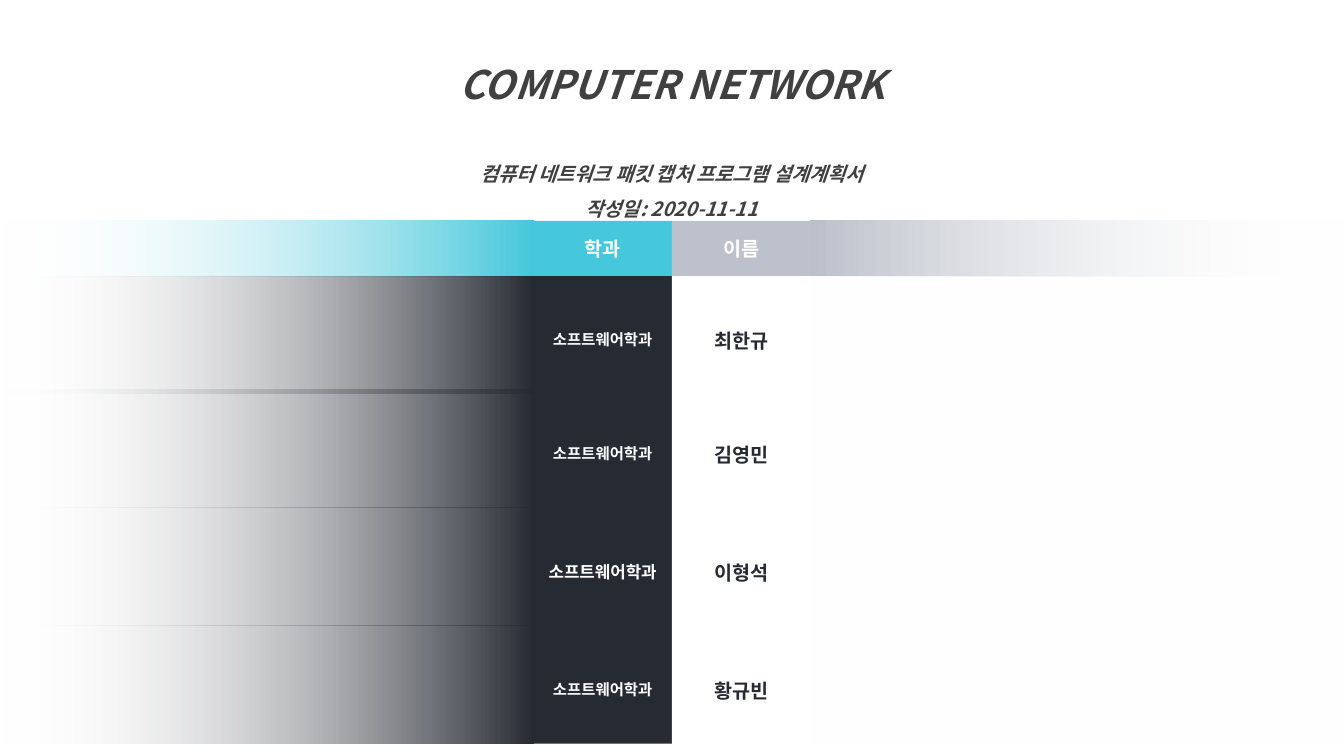
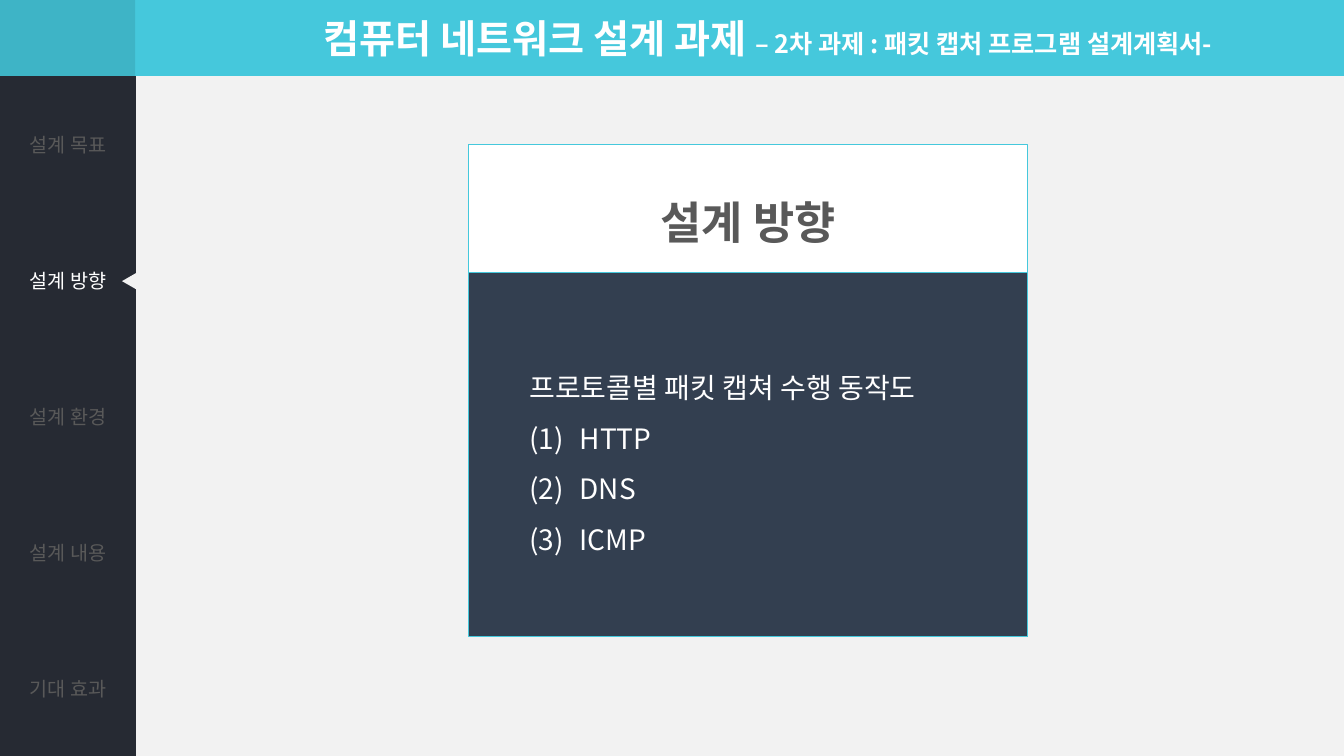
"""Build the cover and the design direction slide of a computer network assignment."""
import pptx
import pptx.dml.color
import pptx.enum.shapes
import pptx.enum.text
import pptx.oxml.ns
import pptx.util
from lxml import etree

Pt = pptx.util.Pt
SHAPES = pptx.enum.shapes.MSO_SHAPE
ALIGN = pptx.enum.text.PP_ALIGN
MIDDLE = pptx.enum.text.MSO_ANCHOR.MIDDLE
qn = pptx.oxml.ns.qn
colour = pptx.dml.color.RGBColor.from_string

FONT = "Noto Sans CJK KR"
CYAN, DARK, SILVER, WHITE = "45C8DC", "262A33", "BDC1CB", "FFFFFF"
PALE, GREY, CHARCOAL, NAVY, TEAL = "F2F2F2", "595959", "404040", "333F50", "3EB4C6"


def add_box(slide, left, top, width, height, fill, line=None, kind=SHAPES.RECTANGLE):
    shape = slide.shapes.add_shape(kind, Pt(left), Pt(top), Pt(width), Pt(height))
    shape.shadow.inherit = False
    shape.fill.solid()
    shape.fill.fore_color.rgb = colour(fill)
    if line:
        shape.line.color.rgb = colour(line)
        shape.line.width = Pt(0.75)
    else:
        shape.line.fill.background()
    shape.text_frame.vertical_anchor = MIDDLE
    return shape


def write(paragraph, text, size, color, bold=False, italic=False, align=ALIGN.CENTER, spacing=None):
    paragraph.add_run().text = text
    paragraph.alignment = align
    paragraph.line_spacing = spacing
    font = paragraph.font
    font.name = FONT
    font.size = Pt(size)
    font.bold = bold
    font.italic = italic
    font.color.rgb = colour(color)
    properties = paragraph._p.pPr.find(qn("a:defRPr"))
    etree.SubElement(properties, qn("a:ea"), typeface=FONT)


presentation = pptx.Presentation()
presentation.slide_width = Pt(960)
presentation.slide_height = Pt(540)
blank = presentation.slide_layouts[6]

cover = presentation.slides.add_slide(blank)

side_width, column_width = 381, 99
department_left = side_width
name_left = department_left + column_width
right_left = name_left + column_width
row_height = 84.2
rows = [
    (157.7, 39.6, CYAN, SILVER, "학과", "이름", 14, WHITE, None),
    (197.3, row_height, DARK, WHITE, "소프트웨어학과", "최한규", 11, DARK, 1.5),
    (278.6, row_height, DARK, WHITE, "소프트웨어학과", "김영민", 11, DARK, 1.5),
    (362.9, row_height, DARK, WHITE, "소프트웨어학과", "이형석", 12, DARK, 1.5),
    (447.1, row_height, DARK, WHITE, "소프트웨어학과", "황규빈", 11, DARK, 1.5),
]
for top, height, left_fill, right_fill, department, name, size, name_color, spacing in rows:
    cells = [
        (department_left, left_fill, department, size, WHITE),
        (name_left, right_fill, name, 14, name_color),
    ]
    for left, fill, text, text_size, color in cells:
        cell = add_box(cover, left, top, column_width, height, fill)
        write(cell.text_frame.paragraphs[0], text, text_size, color, bold=True, spacing=spacing)
    for left, fill, angle in [(right_left, right_fill, 0), (0, left_fill, 180)]:
        fade = add_box(cover, left, top, side_width, height, fill)
        fade.fill.gradient()
        fade.fill.gradient_angle = angle
        start, end = fade.fill.gradient_stops
        start.color.rgb = colour(fill)
        end.color.rgb = colour(WHITE)
        end_color = list(fade._element.spPr.iter(qn("a:srgbClr")))[-1]
        etree.SubElement(end_color, qn("a:alpha"), val="0")

title_frame = cover.shapes.add_textbox(Pt(263), Pt(23), Pt(434), Pt(131)).text_frame
title_frame.word_wrap = True
title_lines = [
    ("COMPUTER NETWORK", 28),
    ("컴퓨터 네트워크 패킷 캡처 프로그램 설계계획서", 14),
    ("작성일: 2020-11-11", 14),
]
for index, (text, size) in enumerate(title_lines):
    paragraph = title_frame.add_paragraph() if index else title_frame.paragraphs[0]
    if index == 1:
        paragraph.space_before = Pt(30)
    write(paragraph, text, size, CHARCOAL, bold=True, italic=True, spacing=1.5)

direction = presentation.slides.add_slide(blank)
background = direction.background.fill
background.gradient()
background.gradient_angle = 270
for stop, color in zip(background.gradient_stops, (CYAN, PALE)):
    stop.position = 0.1
    stop.color.rgb = colour(color)

header_frame = direction.shapes.add_textbox(Pt(224), Pt(6.5), Pt(730), Pt(41)).text_frame
header_frame.word_wrap = True
header_frame.vertical_anchor = MIDDLE
header = header_frame.paragraphs[0]
write(header, "컴퓨터 네트워크 설계 과제 ", 28, WHITE, bold=True, align=ALIGN.LEFT)
subtitle = header.add_run()
subtitle.text = "– 2차 과제 : 패킷 캡처 프로그램 설계계획서-"
subtitle.font.size = Pt(18)

add_box(direction, 0, 0, 96.5, 54.5, TEAL)

menu_items = ["설계 목표", "설계 방향", "설계 환경", "설계 내용", "기대 효과"]
menu = direction.shapes.add_table(len(menu_items), 1, 0, Pt(54.5), Pt(97), Pt(485.5)).table
menu.first_row = False
menu.horz_banding = False
menu._tbl.tblPr.find(qn("a:tableStyleId")).text = "{2D5ABB26-0587-4C30-8999-92F81FD0307C}"
for index, item in enumerate(menu_items):
    cell = menu.cell(index, 0)
    cell.fill.solid()
    cell.fill.fore_color.rgb = colour(DARK)
    cell.vertical_anchor = MIDDLE
    write(cell.text_frame.paragraphs[0], item, 14, WHITE if item == "설계 방향" else GREY)

marker = add_box(direction, 86.4, 195.8, 11.5, 10, PALE, kind=SHAPES.ISOSCELES_TRIANGLE)
marker.rotation = 270

panel = add_box(direction, 335, 195, 399, 260, NAVY, CYAN)
panel_lines = ["프로토콜별 패킷 캡쳐 수행 동작도", "HTTP", "DNS", "ICMP"]
for index, text in enumerate(panel_lines):
    paragraph = panel.text_frame.add_paragraph() if index else panel.text_frame.paragraphs[0]
    paragraph.level = 1
    properties = paragraph._p.get_or_add_pPr()
    properties.set("marL", str(Pt(72 if index else 36)))
    properties.set("indent", str(Pt(-36 if index else 0)))
    if index:
        etree.SubElement(properties, qn("a:buAutoNum"), type="arabicParenBoth")
    write(paragraph, text, 20, WHITE, align=ALIGN.LEFT, spacing=1.5)

heading = add_box(direction, 335, 103, 399, 92, WHITE, CYAN)
write(heading.text_frame.paragraphs[0], "설계 방향", 32, GREY, bold=True, spacing=1.5)

presentation.save("out.pptx")
